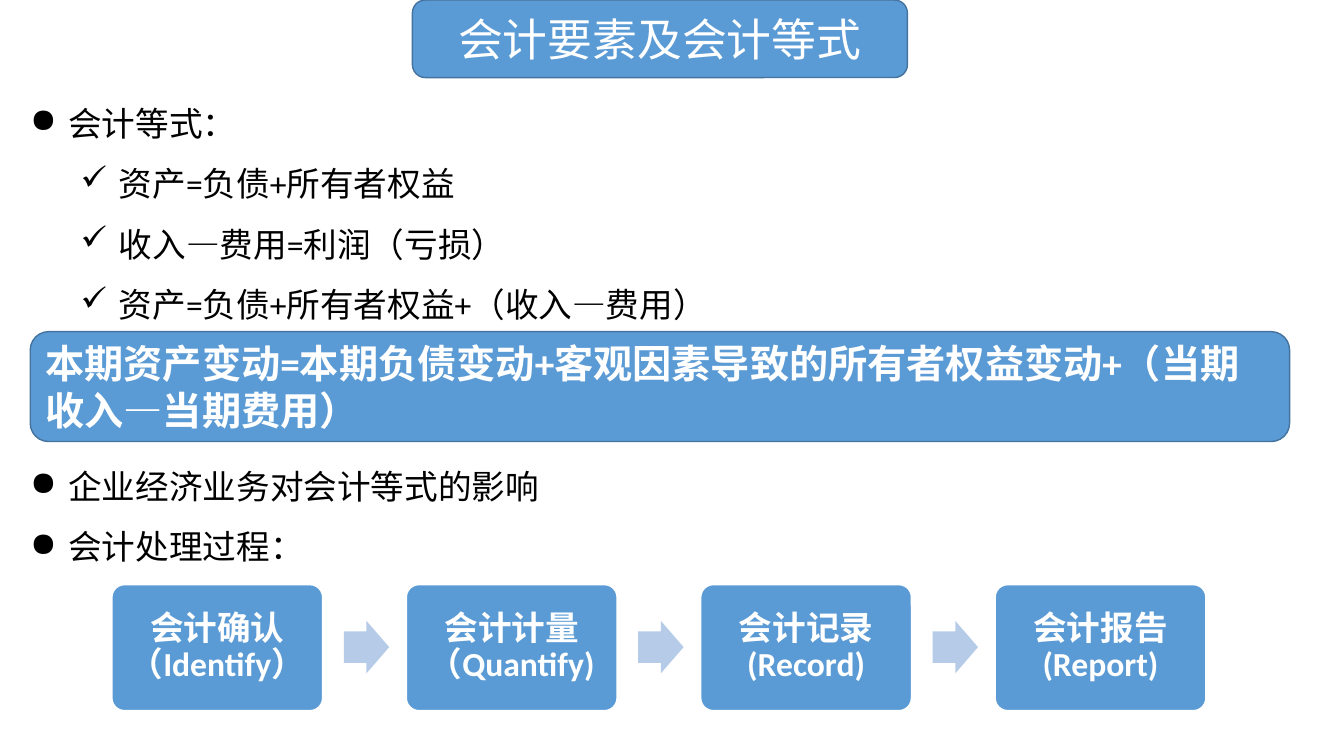
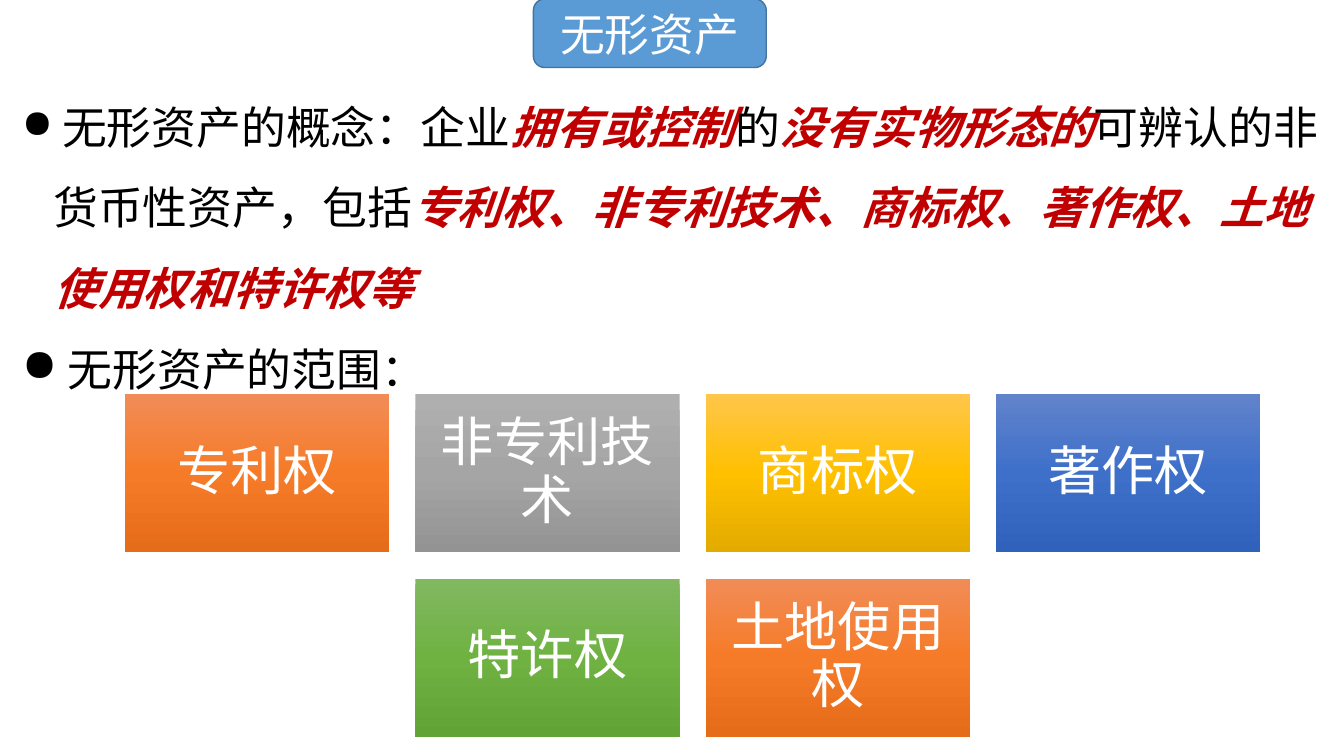
from copy import deepcopy

from lxml.etree import SubElement
from pptx import Presentation
from pptx.dml.color import RGBColor
from pptx.enum.lang import MSO_LANGUAGE_ID
from pptx.enum.shapes import MSO_SHAPE
from pptx.enum.text import MSO_ANCHOR, PP_ALIGN
from pptx.oxml.ns import qn
from pptx.util import Inches, Pt

BLUE, EDGE, PALE, WHITE, BLACK, RED = (
    "5B9BD5", "43739E", "B5CBE7", "FFFFFF", "000000", "C00000")
TITLE = {"size": Pt(32), "color": WHITE}
BANNER = {"size": Pt(28), "color": WHITE, "bold": True}
STEP = {"size": Pt(24), "color": WHITE, "bold": True}
TILE = {"size": Pt(38), "color": WHITE}
BODY = {"size": Pt(24), "color": BLACK}
LARGE = {"size": Pt(32), "color": BLACK}
GAP = {"size": Pt(28), "color": BLACK}
STRONG = {"size": Pt(32), "color": RED, "bold": True, "italic": True}


def write(para, text, style):
    span = para.add_run()
    span.text = text
    span.font.name = "Calibri"
    span.font.language_id = MSO_LANGUAGE_ID.SIMPLIFIED_CHINESE
    for name, value in style.items():
        if name == "color":
            span.font.color.rgb = RGBColor.from_string(value)
        else:
            setattr(span.font, name, value)


def add_panel(page, kind, at, colors, edge=None, text="", style=None,
              align=PP_ALIGN.CENTER, margin=None, spacing=None):
    shape = page.shapes.add_shape(kind, *map(Inches, at))
    shape.shadow.inherit = False
    if len(colors) == 1:
        shape.fill.solid()
        shape.fill.fore_color.rgb = RGBColor.from_string(colors[0])
    else:
        shape.fill.gradient()
        shape.fill.gradient_angle = 270
        stop_list = shape.element.spPr.find(qn("a:gradFill")).find(qn("a:gsLst"))
        stop_list.append(deepcopy(stop_list[-1]))
        for index, stop in enumerate(shape.fill.gradient_stops):
            stop.position = index / (len(colors) - 1)
            stop.color.rgb = RGBColor.from_string(colors[index])
    if edge:
        shape.line.color.rgb = RGBColor.from_string(edge)
        shape.line.width = Pt(1)
    else:
        shape.line.fill.background()
    if text:
        frame = shape.text_frame
        frame.word_wrap = True
        frame.vertical_anchor = MSO_ANCHOR.MIDDLE
        if margin:
            for side in ("left", "top", "right", "bottom"):
                setattr(frame, f"margin_{side}", Inches(margin))
        para = frame.paragraphs[0]
        para.alignment = align
        para.line_spacing = spacing
        write(para, text, style)
    return shape


deck = Presentation()
deck.slide_width, deck.slide_height = Inches(13.33), Inches(7.5)
titles = [
    ("会计要素及会计等式", (4.09, 0, 4.91, 0.77)),
    ("无形资产", (5.29, -0.01, 2.31, 0.68)),
]
pages = []
for title, at in titles:
    page = deck.slides.add_slide(deck.slide_layouts[6])
    add_panel(page, MSO_SHAPE.ROUNDED_RECTANGLE, at, [BLUE], EDGE, title, TITLE)
    pages.append(page)
equation_page, asset_page = pages

bullet_boxes = [
    (equation_page, (0.2, 0.77, 12.98, 2.5), 0.38, [
        (0, [("会计等式：", BODY)]),
        (1, [("资产=负债+所有者权益", BODY)]),
        (1, [("收入—费用=利润（亏损）", BODY)]),
        (1, [("资产=负债+所有者权益+（收入—费用）", BODY)]),
    ]),
    (equation_page, (0.2, 4.37, 12.98, 1.3), 0.38, [
        (0, [("企业经济业务对会计等式的影响", BODY)]),
        (0, [("会计处理过程：", BODY)]),
    ]),
    (asset_page, (0.12, 0.67, 13.37, 3.24), 0.31, [
        (0, [
            (" ", GAP),
            ("无形资产的概念：企业", LARGE),
            ("拥有或控制", STRONG),
            ("的", LARGE),
            ("没有实物形态的", STRONG),
            ("可辨认的非货币性资产，包括", LARGE),
            ("专利权、非专利技术、商标权、著作权、土地使用权和特许权等", STRONG),
        ]),
        (0, [(" ", LARGE), ("无形资产的范围：", LARGE)]),
    ]),
]
for page, at, hanging, items in bullet_boxes:
    frame = page.shapes.add_textbox(*map(Inches, at)).text_frame
    frame.word_wrap = True
    for index, (level, spans) in enumerate(items):
        para = frame.add_paragraph() if index else frame.paragraphs[0]
        para.level = level
        para.line_spacing = 1.5
        properties = para._p.get_or_add_pPr()
        properties.set("marL", str(Inches(hanging + 0.5 * level)))
        properties.set("indent", str(-Inches(hanging)))
        SubElement(properties, qn("a:buChar")).set("char", "●✓"[level])
        for text, style in spans:
            write(para, text, style)

add_panel(equation_page, MSO_SHAPE.FLOWCHART_ALTERNATE_PROCESS,
          (0.3, 3.29, 12.49, 1.09), [BLUE], EDGE,
          "本期资产变动=本期负债变动+客观因素导致的所有者权益变动+（当期收入—当期费用）",
          BANNER, align=PP_ALIGN.LEFT)

steps = ["会计确认（Identify）", "会计计量（Quantify)",
         "会计记录(Record)", "会计报告(Report)"]
for index, step in enumerate(steps):
    left = 1.11 + 2.92 * index
    card = add_panel(equation_page, MSO_SHAPE.ROUNDED_RECTANGLE,
                     (left, 5.8, 2.09, 1.25), [BLUE], WHITE, step, STEP,
                     margin=0.1, spacing=0.9)
    card.adjustments[0] = 0.1
    if index < len(steps) - 1:
        arrow = add_panel(equation_page, MSO_SHAPE.RIGHT_ARROW,
                          (left + 2.3, 6.16, 0.45, 0.52), [PALE])
        arrow.adjustments[0] = 0.6

ORANGE = ["F18C57", "F67B28", "E56C19"]
tiles = [
    ("专利权", 0, 0, ORANGE),
    ("非专利技术", 1, 0, ["AFAFAF", "A5A5A5", "939393"]),
    ("商标权", 2, 0, ["FFC64B", "FFC000", "E3AB00"]),
    ("著作权", 3, 0, ["6183CB", "3E70CA", "3062BB"]),
    ("特许权", 1, 1, ["81B861", "6FB242", "62A336"]),
    ("土地使用权", 2, 1, ORANGE),
]
for name, column, row, colors in tiles:
    add_panel(asset_page, MSO_SHAPE.RECTANGLE,
              (1.24 + 2.88 * column, 3.91 + 1.83 * row, 2.62, 1.57),
              colors, None, name, TILE, margin=0.16, spacing=0.9)

deck.save("out.pptx")
